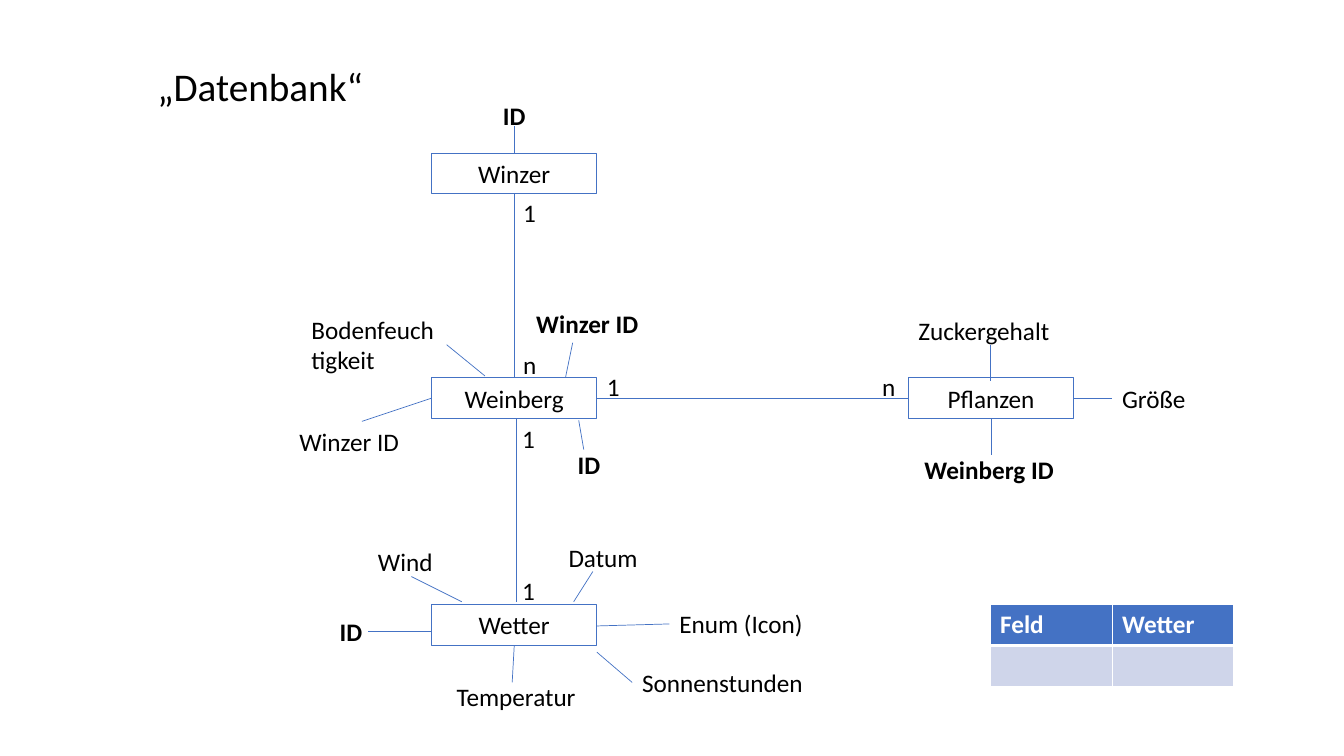
from typing import NamedTuple

from lxml.etree import SubElement
from pptx import Presentation
from pptx.dml.color import RGBColor
from pptx.enum.shapes import MSO_CONNECTOR as CONN, MSO_SHAPE as SHAPE
from pptx.enum.text import MSO_ANCHOR as ANCHOR, PP_ALIGN as ALIGN
from pptx.oxml.ns import qn
from pptx.util import Inches, Pt

COLORS = {"text": "000000", "accent": "4472C4", "white": "FFFFFF", "band": "CFD5EA"}
FONT = "Calibri"
CELL = 0.1  # inches per grid cell; every position below counts grid cells
BOX_W, BOX_H = 16.4, 4
LABEL_W = 14.5


class Attribute(NamedTuple):
    """A label and its line, placed from the corner of its entity box."""
    text: str
    at: tuple[float, float]
    start: tuple[float, float]
    end: tuple[float, float]
    bold: bool = False
    width: float = LABEL_W
    rows: float = BOX_H


class Entity(NamedTuple):
    """A named box with its attributes."""
    name: str
    x: float
    y: float
    attributes: list[Attribute]


class Relation(NamedTuple):
    """A line between two entities with a cardinality at each end."""
    start: tuple[float, float]
    end: tuple[float, float]
    cards: list[tuple[str, float, float]]


LEFT, RIGHT = 42.8, 90.1
TOP, MIDDLE, BOTTOM = 15.2, 37.5, 60
HALF_W, HALF_H = BOX_W / 2, BOX_H / 2

ENTITIES = [
    Entity("Winzer", LEFT, TOP, [
        Attribute("ID", (6.1, -5.7), (HALF_W, -2.7), (HALF_W, 0), True),
    ]),
    Entity("Weinberg", LEFT, MIDDLE, [
        Attribute("Bodenfeuchtigkeit", (-12.9, -6.8), (1.5, -3.3), (5.3, -0.2), rows=7.1),
        Attribute("Winzer ID", (-14.1, 4.3), (-6.9, 4.3), (0, HALF_H)),
        Attribute("Winzer ID", (9.4, -7.4), (13.3, -0.1), (14, -3.5), True),
        Attribute("ID", (13.5, 6.6), (14.6, 4.2), (15.1, 7.1), True),
    ]),
    Entity("Pflanzen", RIGHT, MIDDLE, [
        Attribute("Zuckergehalt", (0, -6.7), (8.1, -3.3), (8.1, 0.3), width=17.4),
        Attribute("Größe", (20.2, 0), (BOX_W, HALF_H), (20.2, HALF_H)),
        Attribute("Weinberg ID", (0.6, 7.1), (HALF_W, BOX_H), (HALF_W, 7.6), True, BOX_W),
    ]),
    Entity("Wetter", LEFT, BOTTOM, [
        Attribute("Wind", (-6.3, -6.3), (-2, -2.8), (3, -0.3)),
        Attribute("Datum", (12.6, -6.7), (14.1, -0.3), (16, -3.3)),
        Attribute("Enum (Icon)", (23.6, -0.1), (BOX_W, 2.1), (23.6, 1.9)),
        Attribute("Sonnenstunden", (19.9, 5.7), (BOX_W, 4.7), (19.9, 7.7), width=18.3),
        Attribute("Temperatur", (1.5, 7.1), (HALF_W, 4.1), (8, 7.7)),
        Attribute("ID", (-10.1, 0.7), (-6.3, 2.6), (0, 2.6), True),
    ]),
]
RELATIONS = [
    Relation((LEFT + HALF_W, TOP + BOX_H), (LEFT + HALF_W, MIDDLE),
             [("1", 50.9, 19.1), ("n", 50.9, 34.2)]),
    Relation((LEFT + HALF_W + 0.2, MIDDLE + BOX_H), (LEFT + HALF_W + 0.2, BOTTOM - 0.3),
             [("1", 50.8, 41.5), ("1", 50.8, 56.6)]),
    Relation((LEFT + BOX_W, MIDDLE + HALF_H), (RIGHT, MIDDLE + HALF_H),
             [("1", 59.2, 36.3), ("n", 86.5, 36.3)]),
]
TABLE_ROWS = [("Feld", "Wetter"), ("", "")]


def color(name: str) -> RGBColor:
    """Look up a named colour."""
    return RGBColor.from_string(COLORS[name])


def grid(*cells: float) -> list[int]:
    """Turn grid cells into slide lengths."""
    return [Inches(round(c * CELL, 2)) for c in cells]


def write(tf, text: str, *, size: int = 18, bold: bool = False,
          fill: str = "text", align=ALIGN.LEFT) -> None:
    """Put one formatted paragraph into a text frame."""
    p = tf.paragraphs[0]
    p.alignment = align
    r = p.add_run()
    r.text = text
    r.font.name, r.font.size, r.font.bold = FONT, Pt(size), bold
    r.font.color.rgb = color(fill)


def add_label(s, text: str, x: float, y: float, w: float = LABEL_W,
              h: float = BOX_H, bold: bool = False) -> None:
    """Add a wrapping text box."""
    tf = s.shapes.add_textbox(*grid(x, y, w, h)).text_frame
    tf.word_wrap = True
    write(tf, text, bold=bold)


def add_line(s, start: tuple[float, float], end: tuple[float, float]) -> None:
    """Add a thin straight connector without shadow."""
    sp = s.shapes.add_connector(CONN.STRAIGHT, *grid(*start, *end))
    sp.line.color.rgb = color("accent")
    sp.line.width = Pt(0.5)
    SubElement(sp._element.spPr, qn("a:effectLst"))


def add_entity(s, entity: Entity) -> None:
    """Draw an entity box, its attribute labels and their lines."""
    x, y = entity.x, entity.y
    sp = s.shapes.add_shape(SHAPE.RECTANGLE, *grid(x, y, BOX_W, BOX_H))
    sp.shadow.inherit = False
    sp.fill.background()
    sp.line.color.rgb = color("accent")
    sp.line.width = Pt(0.75)
    sp.text_frame.vertical_anchor = ANCHOR.TOP
    write(sp.text_frame, entity.name, align=ALIGN.CENTER)
    for a in entity.attributes:
        add_label(s, a.text, x + a.at[0], y + a.at[1], a.width, a.rows, a.bold)
        add_line(s, (x + a.start[0], y + a.start[1]), (x + a.end[0], y + a.end[1]))


def add_relation(s, relation: Relation) -> None:
    """Draw a relation line and its cardinalities."""
    add_line(s, relation.start, relation.end)
    for text, x, y in relation.cards:
        add_label(s, text, x, y, 3.5)


def set_borders(cell, **widths: float) -> None:
    """Give a cell white borders, with widths in points by side."""
    tc_pr = cell._tc.get_or_add_tcPr()
    for i, (side, width) in enumerate(widths.items()):
        ln = SubElement(tc_pr, qn(f"a:ln{side}"), w=str(Pt(width)))
        fill = SubElement(ln, qn("a:solidFill"))
        SubElement(fill, qn("a:srgbClr"), val=COLORS["white"])
        tc_pr.insert(i, ln)


def add_field_table(s) -> None:
    """Add the field table with a dark header row."""
    table = s.shapes.add_table(2, 2, *grid(98.2, BOTTOM, 24.2, 8.1)).table
    for i, row in enumerate(TABLE_ROWS):
        header = i == 0
        for j, text in enumerate(row):
            cell = table.cell(i, j)
            cell.fill.solid()
            cell.fill.fore_color.rgb = color("accent" if header else "band")
            set_borders(cell, L=1, R=1, T=1 if header else 3, B=3 if header else 1)
            if text:
                write(cell.text_frame, text, bold=True, fill="white")


def add_title(s, text: str) -> None:
    """Move and format the title placeholder."""
    sp = s.shapes.title
    sp.left, sp.top, sp.width, sp.height = grid(14.6, 5.7, 24.2, 5.7)
    sp.text_frame.vertical_anchor = ANCHOR.TOP
    write(sp.text_frame, text, size=28)


def main() -> None:
    """Build and save the slide."""
    prs = Presentation()
    prs.slide_width, prs.slide_height = Inches(13.33), Inches(7.5)
    s = prs.slides.add_slide(prs.slide_layouts[5])
    add_title(s, "„Datenbank“")
    for entity in ENTITIES:
        add_entity(s, entity)
    for relation in RELATIONS:
        add_relation(s, relation)
    add_field_table(s)
    prs.save("out.pptx")


main()
